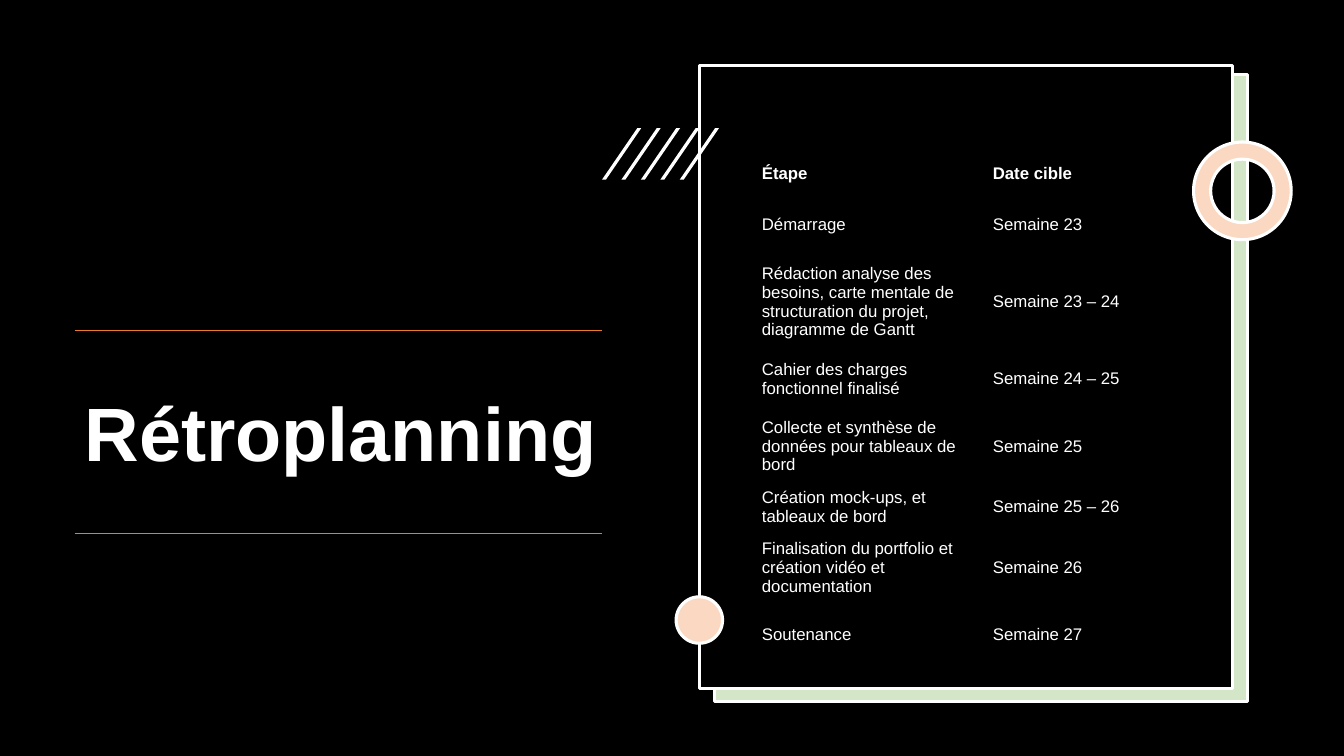
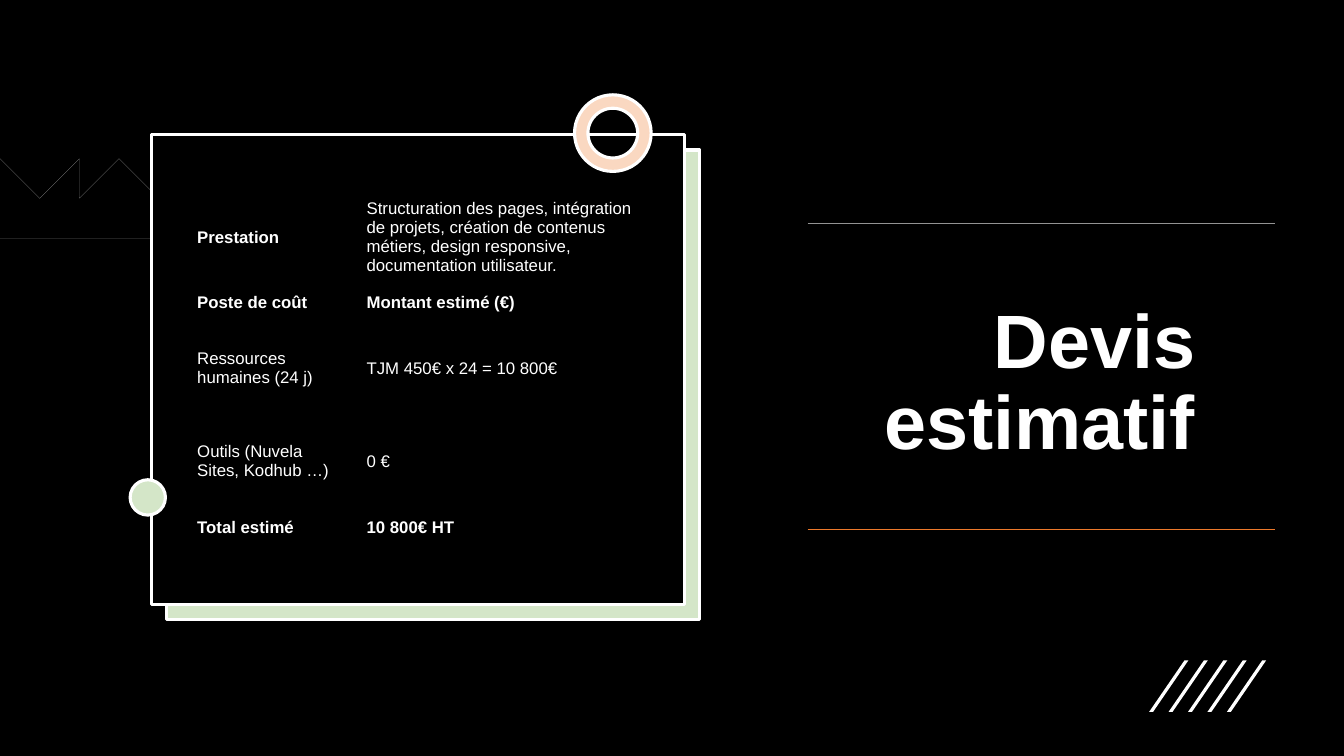
from dataclasses import dataclass

from lxml import etree
from pptx import Presentation
from pptx.dml.color import RGBColor
from pptx.enum import shapes, text
from pptx.oxml.ns import qn
from pptx.shapes.autoshape import Shape
from pptx.slide import Slide
from pptx.util import Cm, Length, Pt

BLACK, WHITE = "000000", "FFFFFF"
ORANGE, GREY = "EC792B", "939393"
PEACH, MINT = "FAD8C1", "D4E6C8"
KIND = shapes.MSO_SHAPE
PLAIN = "{2D5ABB26-0587-4C30-8999-92F81FD0307C}"  # table style without grid

HEAD = {"name": "Arial", "size": Pt(54), "bold": True}
BODY = {"name": "Arial", "size": Pt(12), "bold": False}
INSET = {"margin_left": Cm(0.25), "margin_right": Cm(0.25),
         "margin_top": Cm(0.13), "margin_bottom": Cm(0.13)}


@dataclass(frozen=True)
class Box:
    left: float
    top: float
    width: float
    height: float

    def cm(self) -> list[Length]:
        return [Cm(v) for v in (self.left, self.top, self.width, self.height)]


@dataclass(frozen=True)
class Rule:
    left: float
    right: float
    top: float
    tint: str


@dataclass(frozen=True)
class Item:
    kind: KIND
    box: Box
    fill: str


@dataclass(frozen=True)
class Grid:
    left: float
    top: float
    cols: list[float]
    rows: list[float]
    cells: list[tuple[str, str]]
    bold: set[tuple[int, int]]


@dataclass(frozen=True)
class Page:
    title: str
    head: Box
    align: text.PP_ALIGN
    waves: list[float]
    items: list[Item]
    slashes: tuple[float, float]
    grid: Grid
    rules: list[Rule]


def color(code: str) -> RGBColor:
    return RGBColor.from_string(code)


def apply(target: object, values: dict) -> None:
    for name, value in values.items():
        setattr(target, name, value)


def write(para, words: str, values: dict) -> None:
    run = para.add_run()
    run.text = words
    apply(run.font, values)
    run.font.color.rgb = color(WHITE)


def paint(shape: Shape, fill: str, edge: bool = True) -> None:
    shape.shadow.inherit = False
    shape.fill.solid()
    shape.fill.fore_color.rgb = color(fill)
    if edge:
        shape.line.color.rgb = color(WHITE)
        shape.line.width = Pt(2.25)
    else:
        shape.line.fill.background()


def add_item(slide: Slide, item: Item) -> None:
    shape = slide.shapes.add_shape(item.kind, *item.box.cm())
    if item.kind == KIND.DONUT:
        shape.adjustments[0] = 0.175
    paint(shape, item.fill)


def add_slashes(slide: Slide, left: float, top: float) -> None:
    for i in range(5):
        box = Box(left + i * 0.49, top, 0.99, 1.3)
        slash = slide.shapes.add_shape(KIND.PARALLELOGRAM, *box.cm())
        slash.adjustments[0] = 0.9
        paint(slash, WHITE, edge=False)


def add_wave(slide: Slide, top: float) -> None:
    """Draw a zigzag band that enters from the left edge."""
    upper = [(0.5 + 0.66 * k, top + 0.66 * (k % 2)) for k in range(7)]
    lower = [(x, y + 0.1) for x, y in reversed(upper)]
    tip = [(5.18, top + 0.69), (5.1, top + 0.74)]
    tail = [(0, top + 0.61), (0, top + 0.51)]
    pen = slide.shapes.build_freeform(*upper[0], scale=Cm(1))
    pen.add_line_segments(upper[1:] + tip + lower + tail, close=True)
    paint(pen.convert_to_shape(), WHITE, edge=False)


def add_title(slide: Slide, page: Page) -> None:
    frame = slide.shapes.add_textbox(*page.head.cm()).text_frame
    apply(frame, INSET | {"word_wrap": True,
                          "vertical_anchor": text.MSO_ANCHOR.BOTTOM})
    para = frame.paragraphs[0]
    apply(para, {"alignment": page.align, "line_spacing": 0.9})
    write(para, page.title, HEAD)


def add_grid(slide: Slide, grid: Grid) -> None:
    box = Box(grid.left, grid.top, sum(grid.cols), sum(grid.rows))
    frame = slide.shapes.add_table(len(grid.rows), len(grid.cols), *box.cm())
    frame.element.xpath(".//a:tableStyleId")[0].text = PLAIN
    table = frame.table
    apply(table, {"first_row": False, "horz_banding": False})
    for col, width in zip(table.columns, grid.cols):
        col.width = Cm(width)
    for r, (height, words) in enumerate(zip(grid.rows, grid.cells)):
        table.rows[r].height = Cm(height)
        for c, word in enumerate(words):
            cell = table.cell(r, c)
            cell.fill.background()
            apply(cell, INSET | {"vertical_anchor": text.MSO_ANCHOR.MIDDLE})
            write(cell.text_frame.paragraphs[0], word,
                  BODY | {"bold": (r, c) in grid.bold})


def add_rule(slide: Slide, rule: Rule) -> None:
    ends = [Cm(v) for v in (rule.left, rule.top, rule.right, rule.top)]
    line = slide.shapes.add_connector(shapes.MSO_CONNECTOR.STRAIGHT, *ends)
    line.line.color.rgb = color(rule.tint)
    line.line.width = Pt(0.75)
    etree.SubElement(line.element.spPr, qn("a:effectLst"))


PAGES = [
    Page(
        "Rétroplanning", Box(1.88, 2.26, 13.59, 9.91), text.PP_ALIGN.LEFT, [],
        [Item(KIND.RECTANGLE, Box(18.01, 1.88, 13.44, 15.8), MINT),
         Item(KIND.RECTANGLE, Box(17.63, 1.65, 13.44, 15.7), BLACK),
         Item(KIND.DONUT, Box(30.08, 3.58, 2.46, 2.46), PEACH),
         Item(KIND.OVAL, Box(17.04, 15.04, 1.17, 1.17), PEACH)],
        (15.17, 3.23),
        Grid(18.95, 3.89, [5.82, 5.03],
             [0.97, 1.6, 1.6, 1.6, 0.97, 0.97, 0.97, 1.6],
             [("Étape", "Date cible"),
              ("Démarrage", "Semaine 23"),
              ("Rédaction analyse des besoins, carte mentale de "
               "structuration du projet, diagramme de Gantt",
               "Semaine 23 – 24"),
              ("Cahier des charges fonctionnel finalisé", "Semaine 24 – 25"),
              ("Collecte et synthèse de données pour tableaux de bord",
               "Semaine 25"),
              ("Création mock-ups, et tableaux de bord", "Semaine 25 – 26"),
              ("Finalisation du portfolio et création vidéo et documentation",
               "Semaine 26"),
              ("Soutenance", "Semaine 27")],
             {(0, 0), (0, 1)}),
        [Rule(1.88, 15.16, 8.33, ORANGE), Rule(1.88, 15.16, 13.44, GREY)],
    ),
    Page(
        "Devis estimatif", Box(18.69, 1.9, 11.68, 9.98), text.PP_ALIGN.RIGHT,
        [4.39, 5.61],
        [Item(KIND.RECTANGLE, Box(4.19, 3.78, 13.44, 11.84), MINT),
         Item(KIND.RECTANGLE, Box(3.81, 3.4, 13.44, 11.84), BLACK),
         Item(KIND.OVAL, Box(3.28, 12.09, 0.89, 0.89), MINT),
         Item(KIND.DONUT, Box(14.48, 2.39, 1.93, 1.93), PEACH)],
        (28.96, 16.64),
        Grid(4.72, 4.83, [4.27, 7.32], [0.99, 0.99, 2.34, 2.34, 0.99],
             [("Prestation",
               "Structuration des pages, intégration de projets, création de "
               "contenus métiers, design responsive, documentation "
               "utilisateur."),
              ("Poste de coût", "Montant estimé (€)"),
              ("Ressources humaines (24 j)", "TJM 450€ x 24 = 10 800€"),
              ("Outils (Nuvela Sites, Kodhub …)", "0 €"),
              ("Total estimé", "10 800€ HT")],
             {(0, 0), (1, 0), (1, 1), (4, 0), (4, 1)}),
        [Rule(20.35, 32.13, 5.64, GREY), Rule(20.35, 32.13, 13.34, ORANGE)],
    ),
]


def main() -> None:
    deck = Presentation()
    apply(deck, {"slide_width": Cm(33.87), "slide_height": Cm(19.05)})
    for page in PAGES:
        slide = deck.slides.add_slide(deck.slide_layouts[6])
        slide.background.fill.solid()
        slide.background.fill.fore_color.rgb = color(BLACK)
        add_title(slide, page)
        for top in page.waves:
            add_wave(slide, top)
        for item in page.items:
            add_item(slide, item)
        add_slashes(slide, *page.slashes)
        add_grid(slide, page.grid)
        for rule in page.rules:
            add_rule(slide, rule)
    deck.save("out.pptx")


if __name__ == "__main__":
    main()
